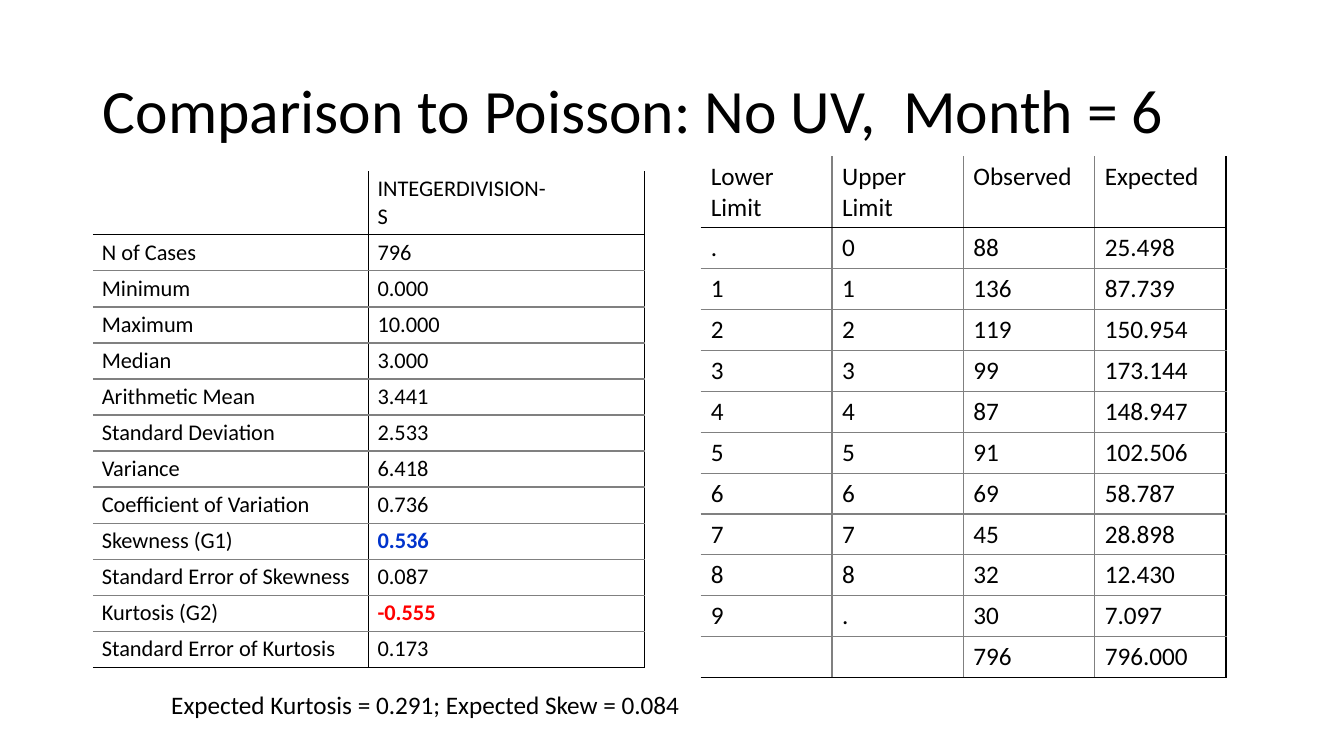
import lxml.etree
import pptx
import pptx.dml.color
import pptx.enum.text
import pptx.oxml.ns
import pptx.util

Inches = pptx.util.Inches
COLORS = {"black": "000000", "gray": "808080", "blue": "0033CC", "red": "FF0000"}
FONT = "Calibri"

STATISTICS = [
    ("", "INTEGERDIVISION-\vS"),
    ("N of Cases", "796"),
    ("Minimum", "0.000"),
    ("Maximum", "10.000"),
    ("Median", "3.000"),
    ("Arithmetic Mean", "3.441"),
    ("Standard Deviation", "2.533"),
    ("Variance", "6.418"),
    ("Coefficient of Variation", "0.736"),
    ("Skewness (G1)", "0.536"),
    ("Standard Error of Skewness", "0.087"),
    ("Kurtosis (G2)", "-0.555"),
    ("Standard Error of Kurtosis", "0.173"),
]
HIGHLIGHTS = {(9, 1): "blue", (11, 1): "red"}

FREQUENCIES = [
    ("Lower Limit", "Upper Limit", "Observed", "Expected"),
    (".", "0", "88", "25.498"),
    ("1", "1", "136", "87.739"),
    ("2", "2", "119", "150.954"),
    ("3", "3", "99", "173.144"),
    ("4", "4", "87", "148.947"),
    ("5", "5", "91", "102.506"),
    ("6", "6", "69", "58.787"),
    ("7", "7", "45", "28.898"),
    ("8", "8", "32", "12.430"),
    ("9", ".", "30", "7.097"),
    ("", "", "796", "796.000"),
]


def style_text(para, size, color="black", bold=False):
    para.font.name = FONT
    para.font.size = pptx.util.Pt(size)
    para.font.bold = bold
    para.font.color.rgb = pptx.dml.color.RGBColor.from_string(COLORS[color])


def set_borders(cell, sides):
    """Draw the left, right, top and bottom edges; None leaves an edge open."""
    qn = pptx.oxml.ns.qn
    properties = cell._tc.get_or_add_tcPr()
    for index, (side, color) in enumerate(zip("LRTB", sides)):
        line = lxml.etree.Element(qn(f"a:ln{side}"), w=str(pptx.util.Pt(1)))
        if color:
            fill = lxml.etree.SubElement(line, qn("a:solidFill"))
            lxml.etree.SubElement(fill, qn("a:srgbClr"), val=COLORS[color])
        else:
            lxml.etree.SubElement(line, qn("a:noFill"))
        properties.insert(index, line)


def add_title(page, box, text):
    title = page.shapes.title
    title.left, title.top, title.width, title.height = map(Inches, box)
    frame = title.text_frame
    frame.text = text
    frame.auto_size = pptx.enum.text.MSO_AUTO_SIZE.NONE
    frame.vertical_anchor = pptx.enum.text.MSO_ANCHOR.MIDDLE
    para = frame.paragraphs[0]
    para.alignment = pptx.enum.text.PP_ALIGN.LEFT
    para.line_spacing = 0.9
    style_text(para, 44)


def add_ruled_table(page, box, rows, header_height, size, insets, divider, highlights):
    """Place a table open at the left and top, with a dark header rule and outer edge."""
    left, top, width, height = box
    row_count, column_count = len(rows), len(rows[0])
    table = page.shapes.add_table(row_count, column_count, *map(Inches, box)).table
    table.first_row = table.horz_banding = False
    for column in table.columns:
        column.width = Inches(width / column_count)
    body_height = (height - header_height) / (row_count - 1)
    for r, values in enumerate(rows):
        table.rows[r].height = Inches(body_height if r else header_height)
        for c, value in enumerate(values):
            cell = table.cell(r, c)
            cell.margin_left = cell.margin_right = Inches(insets[0])
            cell.margin_top = cell.margin_bottom = Inches(insets[1])
            cell.text = value
            color = highlights.get((r, c), "black")
            style_text(cell.text_frame.paragraphs[0], size, color, color != "black")
            cell.fill.background()
            set_borders(cell, (
                divider if c else None,
                divider if c < column_count - 1 else "black",
                {0: None, 1: "black"}.get(r, "gray"),
                "black" if r in (0, row_count - 1) else "gray",
            ))


def add_note(page, box, text):
    frame = page.shapes.add_textbox(*map(Inches, box)).text_frame
    frame.word_wrap = False
    frame.text = text
    style_text(frame.paragraphs[0], 18)


def main():
    deck = pptx.Presentation()
    deck.slide_width, deck.slide_height = Inches(13.33), Inches(7.5)
    page = deck.slides.add_slide(deck.slide_layouts[5])
    margin = 0.92
    add_title(page, (margin, 0.4, 11.5, 1.45), "Comparison to Poisson: No UV,  Month = 6")
    add_ruled_table(page, (margin, 1.7, 5.47, 4.92), STATISTICS, 0.63, 16,
                    (0.09, 0.04), "black", HIGHLIGHTS)
    add_ruled_table(page, (6.95, 1.55, 5.21, 5.15), FREQUENCIES, 0.71, 18,
                    (0.1, 0.05), "gray", {})
    add_note(page, (1.6, 6.79, 5.3, 0.4), "Expected Kurtosis = 0.291; Expected Skew = 0.084")
    deck.save("out.pptx")


if __name__ == "__main__":
    main()
